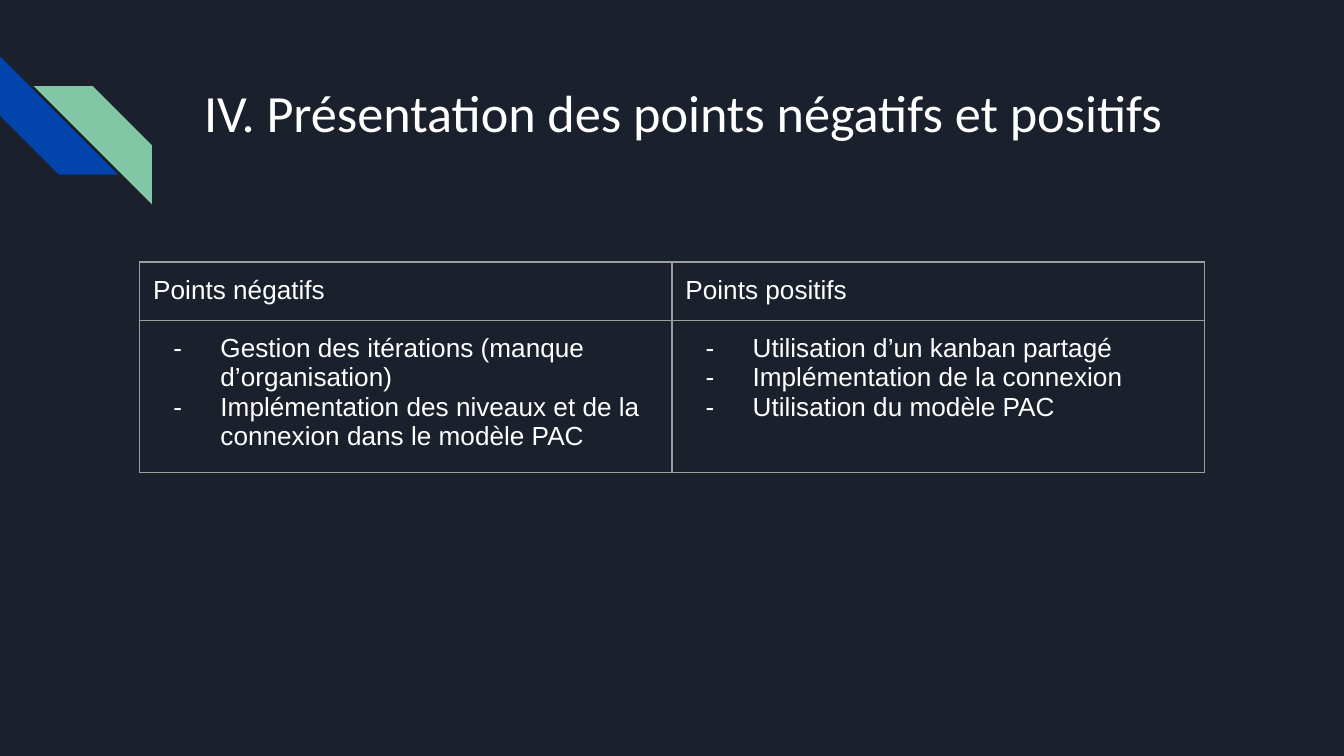
from lxml.etree import SubElement
from pptx import Presentation
from pptx.dml.color import RGBColor
from pptx.enum.shapes import MSO_SHAPE
from pptx.enum.text import MSO_ANCHOR
from pptx.oxml.ns import qn
from pptx.util import Inches, Pt

COLORS = {"night": "1B212C", "blue": "0145AC", "green": "82C7A5", "white": "FFFFFF", "grey": "9E9E9E"}
POINTS = {
    "Points négatifs": [
        "Gestion des itérations (manque d’organisation)",
        "Implémentation des niveaux et de la connexion dans le modèle PAC",
    ],
    "Points positifs": [
        "Utilisation d’un kanban partagé",
        "Implémentation de la connexion",
        "Utilisation du modèle PAC",
    ],
}


def color(name):
    return RGBColor.from_string(COLORS[name])


def grid(*units):
    """Convert grid units, a tenth of an inch each, to lengths."""
    return [Inches(unit / 10) for unit in units]


def write(paragraph, text, size=14, font="Arial", ink="white", bullet=None, spacing=None):
    run = paragraph.add_run()
    run.text = text
    run.font.size = Pt(size)
    run.font.name = font
    run.font.color.rgb = color(ink)
    if spacing:
        paragraph.line_spacing = spacing
    if bullet:
        properties = paragraph._p.get_or_add_pPr()
        properties.set("marL", str(Inches(0.5)))
        properties.set("indent", str(Inches(-0.35)))
        bullet_color = SubElement(properties, qn("a:buClr"))
        SubElement(bullet_color, qn("a:srgbClr"), val=COLORS[ink])
        SubElement(properties, qn("a:buFont"), typeface=font)
        SubElement(properties, qn("a:buChar"), char=bullet)


class SlideBuilder:
    def __init__(self, slide):
        self.slide = slide
        self.margin = Inches(0.1)
        self.border = Pt(0.75)
        slide.background.fill.solid()
        slide.background.fill.fore_color.rgb = color("night")

    def stripe(self, left, top, size, fill, rotation=0, mirrored=False):
        shape = self.slide.shapes.add_shape(MSO_SHAPE.DIAGONAL_STRIPE, *grid(left, top, size, size))
        shape.adjustments[0] = 0.5
        shape.rotation = rotation
        shape.shadow.inherit = False
        shape.fill.solid()
        shape.fill.fore_color.rgb = color(fill)
        shape.line.fill.background()
        if mirrored:
            shape.element.spPr.xfrm.set("flipH", "1")

    def inset(self, holder):
        holder.margin_left = holder.margin_right = self.margin
        holder.margin_top = holder.margin_bottom = self.margin
        holder.vertical_anchor = MSO_ANCHOR.TOP

    def title(self, text, left, top, width, height):
        frame = self.slide.shapes.add_textbox(*grid(left, top, width, height)).text_frame
        frame.word_wrap = True
        self.inset(frame)
        write(frame.paragraphs[0], text, size=28, font="Calibri", spacing=1.15)

    def cell(self, cell, lines, bullet=None):
        self.inset(cell)
        for index, line in enumerate(lines):
            frame = cell.text_frame
            write(frame.add_paragraph() if index else frame.paragraphs[0], line, bullet=bullet)
        properties = cell._tc.get_or_add_tcPr()
        for side in ("lnL", "lnR", "lnT", "lnB"):
            line = SubElement(properties, qn(f"a:{side}"), w=str(self.border))
            fill = SubElement(line, qn("a:solidFill"))
            SubElement(fill, qn("a:srgbClr"), val=COLORS["grey"])
        cell.fill.background()

    def table(self, columns, left, top, width, heights):
        frame = self.slide.shapes.add_table(
            len(heights), len(columns), *grid(left, top, width, sum(heights)))
        table = frame.table
        table.first_row = table.horz_banding = False
        for row, height in zip(table.rows, grid(*heights)):
            row.height = height
        for index, (heading, items) in enumerate(columns.items()):
            self.cell(table.cell(0, index), [heading])
            self.cell(table.cell(1, index), items, bullet="-")


def main():
    """Build the slide of weak and strong points."""
    presentation = Presentation()
    presentation.slide_width, presentation.slide_height = grid(100, 56.25)
    builder = SlideBuilder(presentation.slides.add_slide(presentation.slide_layouts[6]))
    builder.stripe(0, 4.2, 8.8, "blue", rotation=270)
    builder.stripe(2.5, 6.4, 8.8, "green", mirrored=True)
    builder.title("IV. Présentation des points négatifs et positifs", 14.2, 4.3, 77, 10)
    builder.table(POINTS, 10.4, 19.5, 79.2, [4.2, 10.7])
    presentation.save("out.pptx")


if __name__ == "__main__":
    main()
